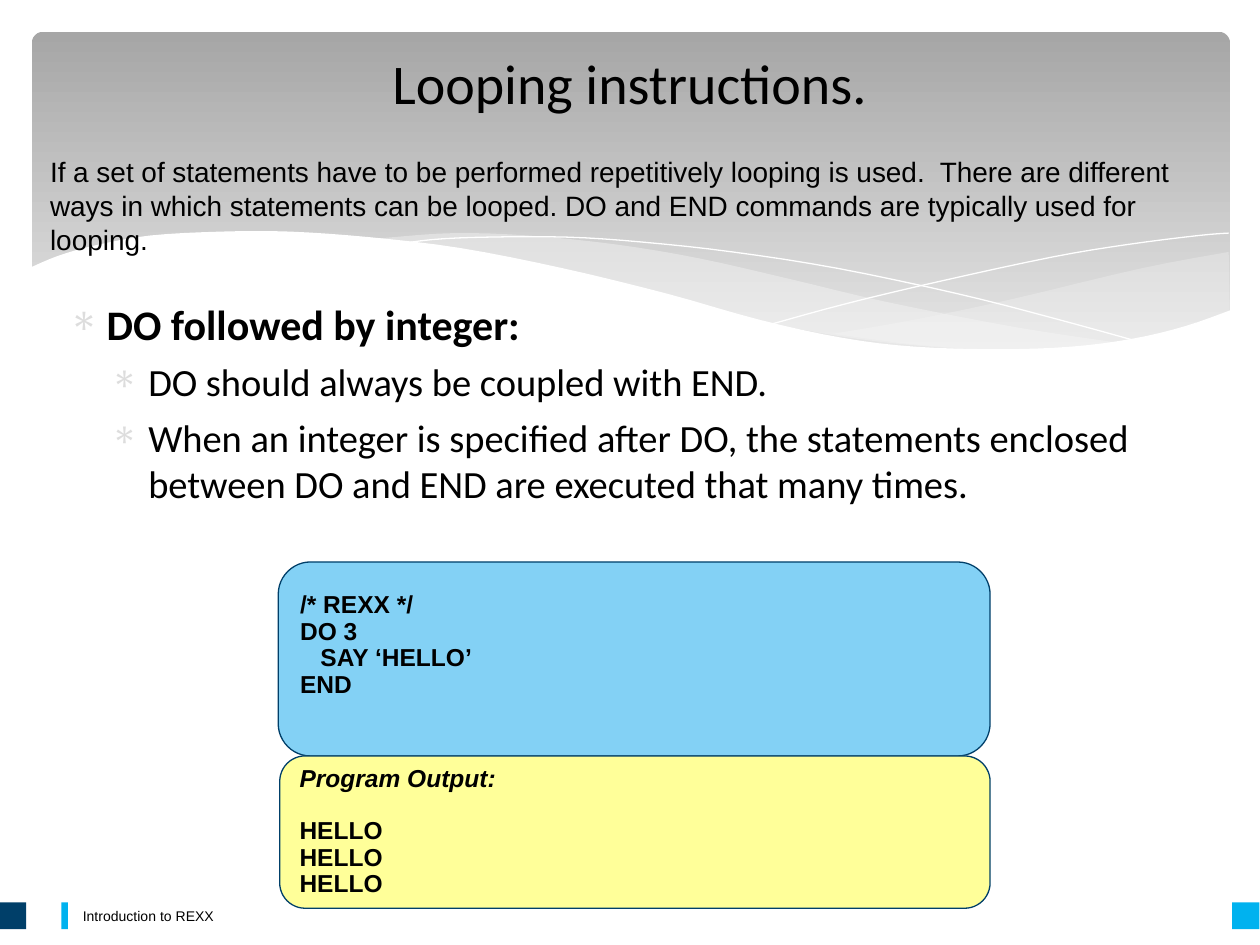
from lxml import etree
from pptx import Presentation
from pptx.dml.color import RGBColor
from pptx.enum.shapes import MSO_SHAPE as Preset
from pptx.enum.text import MSO_ANCHOR as Anchor, PP_ALIGN as Align
from pptx.oxml.ns import qn
from pptx.util import Cm, Pt

BLACK = RGBColor(0x00, 0x00, 0x00)
WHITE = RGBColor(0xFF, 0xFF, 0xFF)
BAND_TOP = RGBColor(0xA6, 0xA6, 0xA6)
BAND_BOTTOM = RGBColor(0xEB, 0xEB, 0xEB)
MIST = RGBColor(0xF8, 0xF8, 0xF8)
BULLET_GREY = RGBColor(0xDD, 0xDD, 0xDD)
NAVY = RGBColor(0x00, 0x3F, 0x69)
CYAN = RGBColor(0x00, 0xB2, 0xEF)
CODE_BLUE = RGBColor(0x83, 0xD1, 0xF5)
OUTPUT_YELLOW = RGBColor(0xFF, 0xFF, 0x99)

# Wave knots, in centimetres
RIGHT_CREST = [(24.77, 5.08), (23.01, 5.41), (20.45, 6.02), (18.52, 6.43), (16.79, 6.73)]
RIGHT_TROUGH = [(16.79, 6.73), (18.59, 6.96), (20.4, 7.06), (21.92, 6.99),
                (23.39, 6.73), (24.79, 6.27)]
MIDDLE_CREST = [(22.68, 6.93), (20.5, 6.6), (17.93, 6.1), (15.98, 5.64), (14.1, 5.21),
                (12.42, 4.93), (10.67, 4.75), (9.17, 4.7), (7.95, 4.78), (7.26, 4.85)]
MIDDLE_TROUGH = [(7.26, 4.85), (9.19, 5.16), (10.85, 5.49), (13.46, 6.1), (15.27, 6.48),
                 (17.27, 6.83), (19, 7.01), (20.5, 7.09), (21.77, 7.04), (22.68, 6.93)]
FALLING_LINE = [(7.85, 4.95), (8.71, 4.83), (9.83, 4.78), (11.43, 4.78), (12.95, 4.88),
                (14.78, 5.08), (16.89, 5.41), (19.3, 5.92), (21.11, 6.38), (23.04, 6.91)]
RISING_LINE = [(15.57, 6.53), (17.07, 6.12), (19, 5.66), (21.23, 5.18), (22.73, 4.93),
               (24.15, 4.75), (24.77, 4.7)]
PAGE_EDGE = [(24.82, 6.25), (23.88, 6.58), (22.83, 6.83), (21.59, 6.99), (20.14, 7.04),
             (18.44, 6.99), (16.97, 6.81), (15.32, 6.45), (13.44, 5.92), (11.35, 5.41),
             (9.27, 5), (7.42, 4.78), (5.84, 4.67), (4.47, 4.67), (3.02, 4.75),
             (1.91, 4.95), (1.17, 5.16), (0.58, 5.41)]
PAGE_CORNERS = [(0.58, 8.36), (24.82, 8.36)]


def smooth(knots, steps=4):
    """Return points on a Catmull-Rom curve through the knots."""
    padded = [knots[0], *knots, knots[-1]]
    points = [knots[0]]
    for a, b, c, d in zip(padded, padded[1:], padded[2:], padded[3:]):
        for step in range(1, steps + 1):
            t = step / steps
            points.append(tuple(
                (2 * q + (r - p) * t + (2 * p - 5 * q + 4 * r - s) * t ** 2
                 + (3 * q - p - 3 * r + s) * t ** 3) / 2
                for p, q, r, s in zip(a, b, c, d)))
    return points


class SlideBuilder:
    heading_font = "Calibri"
    text_font = "Arial"

    def __init__(self, slide):
        self.slide = slide

    def finish(self, shape, fill=None, line=None, width=0.75):
        shape.shadow.inherit = False
        if fill is None:
            shape.fill.background()
        else:
            shape.fill.solid()
            shape.fill.fore_color.rgb = fill
        if line is None:
            shape.line.fill.background()
        else:
            shape.line.color.rgb = line
            shape.line.width = Pt(width)

    def block(self, preset, left, top, width, height, fill, line=None):
        shape = self.slide.shapes.add_shape(preset, Cm(left), Cm(top), Cm(width), Cm(height))
        self.finish(shape, fill, line)
        return shape

    def band(self, left, top, width, height):
        band = self.block(Preset.ROUNDED_RECTANGLE, left, top, width, height, BAND_TOP)
        band.adjustments[0] = 0.034
        band.fill.gradient()
        band.fill.gradient_angle = 270
        for stop, color, position in zip(band.fill.gradient_stops,
                                         (BAND_TOP, BAND_BOTTOM), (0, 1)):
            stop.color.rgb = color
            stop.position = position

    def wave(self, points, fill=None, line=None, opacity=100):
        outline = [(Cm(x), Cm(y)) for x, y in points]
        builder = self.slide.shapes.build_freeform(*outline[0])
        builder.add_line_segments(outline[1:], close=fill is not None)
        shape = builder.convert_to_shape()
        self.finish(shape, fill, line, width=0)
        if opacity < 100:
            color = shape.element.spPr.find(qn("a:solidFill")).find(qn("a:srgbClr"))
            etree.SubElement(color, qn("a:alpha"), val=str(opacity * 1000))

    def text_box(self, left, top, width, height, anchor=Anchor.TOP):
        box = self.slide.shapes.add_textbox(Cm(left), Cm(top), Cm(width), Cm(height))
        box.text_frame.word_wrap = True
        box.text_frame.vertical_anchor = anchor
        return box.text_frame

    def add_text(self, frame, text, size, font=text_font, bold=False, italic=False,
                 align=Align.LEFT, before=0, spacing=None, indent=None):
        """Add a paragraph; an indent in centimetres gives it a bullet."""
        first = frame.paragraphs[0]
        paragraph = frame.add_paragraph() if first.runs else first
        paragraph.alignment = align
        paragraph.space_before = Pt(before)
        if spacing:
            paragraph.line_spacing = spacing
        if indent:
            self.bullet(paragraph, indent)
        run = paragraph.add_run()
        run.text = text
        run.font.name = font
        run.font.size = Pt(size)
        run.font.bold = bold
        run.font.italic = italic
        run.font.color.rgb = BLACK

    def bullet(self, paragraph, indent):
        properties = paragraph._p.get_or_add_pPr()
        properties.set("marL", str(Cm(indent)))
        properties.set("indent", str(-Cm(0.76)))
        color = etree.SubElement(properties, qn("a:buClr"))
        etree.SubElement(color, qn("a:srgbClr"), val=str(BULLET_GREY))
        etree.SubElement(properties, qn("a:buChar"), char="∗")

    def listing(self, left, top, width, height, fill, bottom_inset=0.13):
        shape = self.block(Preset.FLOWCHART_ALTERNATE_PROCESS, left, top, width, height,
                           fill, NAVY)
        frame = shape.text_frame
        frame.word_wrap = True
        frame.vertical_anchor = Anchor.MIDDLE
        frame.margin_bottom = Cm(bottom_inset)
        return frame


def main():
    deck = Presentation()
    deck.slide_width, deck.slide_height = Cm(25.4), Cm(19.05)
    page = SlideBuilder(deck.slides.add_slide(deck.slide_layouts[6]))

    page.band(0.64, 0.64, 24.16, 6.86)
    page.wave(smooth(RIGHT_CREST) + smooth(RIGHT_TROUGH), fill=MIST, opacity=29)
    page.wave(smooth(MIDDLE_CREST) + smooth(MIDDLE_TROUGH), fill=MIST, opacity=40)
    for knots in (FALLING_LINE, RISING_LINE):
        page.wave(smooth(knots), line=WHITE)
    page.wave(smooth(PAGE_EDGE) + PAGE_CORNERS, fill=WHITE)

    footer = page.text_box(1.42, 18.14, 19.79, 0.66, Anchor.MIDDLE)
    page.add_text(footer, "Introduction to REXX", 8)
    for left, width, color in ((0, 0.53, NAVY), (24.84, 0.55, CYAN), (1.24, 0.13, CYAN)):
        page.block(Preset.RECTANGLE, left, 18.19, width, 0.54, color)

    title = page.text_box(0.76, 0.76, 24.13, 1.78, Anchor.MIDDLE)
    page.add_text(title, "Looping instructions. ", 32, SlideBuilder.heading_font,
                  align=Align.CENTER)

    body = page.text_box(1.14, 5.89, 22.73, 10.54)
    page.add_text(body, "DO followed by integer:", 24, SlideBuilder.heading_font,
                  bold=True, indent=0.76)
    for point in ("DO should always be coupled with END.",
                  "When an integer is specified after DO, the statements enclosed "
                  "between DO and END are executed that many times."):
        page.add_text(body, point, 22, SlideBuilder.heading_font, before=5.5, indent=1.6)

    intro = page.text_box(0.76, 3, 24.13, 2.34)
    page.add_text(intro, "If a set of statements have to be performed repetitively looping "
                  "is used.  There are different ways in which statements can be looped. "
                  "DO and END commands are typically used for looping.", 16)

    code = page.listing(5.61, 11.33, 14.35, 3.91, CODE_BLUE, bottom_inset=0.66)
    for statement in ("/* REXX */", "DO 3", "   SAY ‘HELLO’", "END"):
        page.add_text(code, statement, 14, bold=True, spacing=0.9)

    output = page.listing(5.64, 15.24, 14.32, 3.07, OUTPUT_YELLOW)
    page.add_text(output, "Program Output:", 14, bold=True, italic=True, spacing=0.9)
    for gap in (15, 0, 0):
        page.add_text(output, "HELLO", 14, bold=True, before=gap, spacing=0.9)

    deck.save("out.pptx")


if __name__ == "__main__":
    main()
